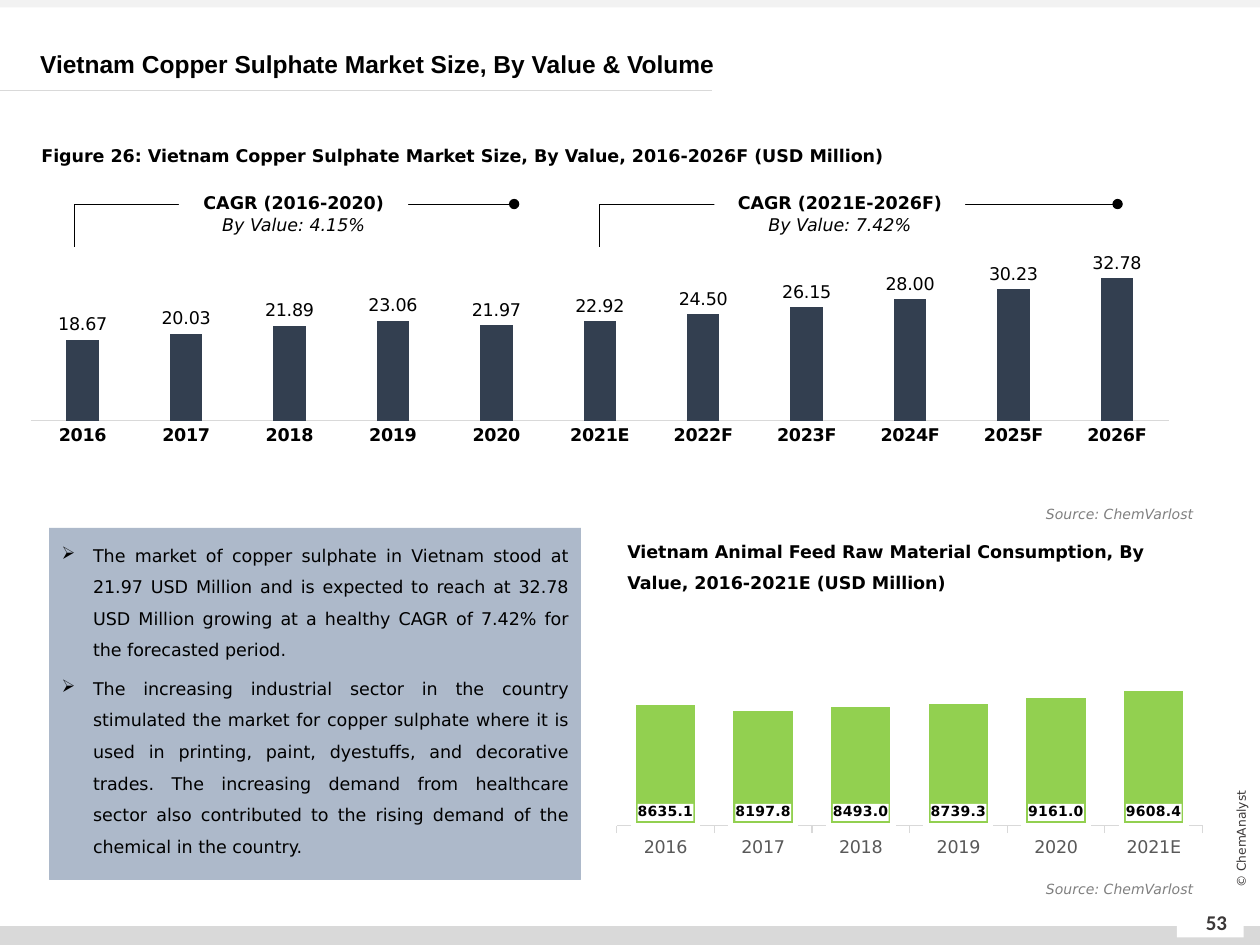
from lxml import etree
from pptx import Presentation
from pptx.chart.data import CategoryChartData
from pptx.dml.color import RGBColor
from pptx.enum.chart import XL_CHART_TYPE as ChartType, XL_LABEL_POSITION as LabelPlace
from pptx.enum.chart import XL_TICK_MARK as Tick
from pptx.enum.shapes import MSO_CONNECTOR as Connector, MSO_SHAPE as Shape
from pptx.enum.text import MSO_ANCHOR as Anchor, PP_ALIGN as Align
from pptx.oxml import parse_xml
from pptx.oxml.ns import nsdecls, qn
from pptx.util import Inches, Pt

# The slide is a grid of 100 columns by 75 rows
COLUMNS, ROWS = 100, 75
WIDTH, HEIGHT = Inches(10), Inches(7.5)
SANS = "DejaVu Sans"
BLACK, WHITE, RULE, STEEL = "000000", "FFFFFF", "D9D9D9", "ADB9CA"


def color(code):
    return RGBColor.from_string(code)


def across(columns):
    return round(WIDTH * columns / COLUMNS)


def down(rows):
    return round(HEIGHT * rows / ROWS)


def place(left, top, width, height):
    return across(left), down(top), across(width), down(height)


def style(font, size, code=BLACK, name=SANS, bold=False, italic=False):
    font.size, font.name, font.bold, font.italic = Pt(size), name, bold, italic
    font.color.rgb = color(code)


def add_span(para, text, size, **look):
    span = para.add_run()
    span.text = text
    style(span.font, size, **look)


def add_text(page, area, text, size, align=Align.LEFT, anchor=Anchor.TOP, spacing=None, **look):
    box = page.shapes.add_textbox(*place(*area))
    box.text_frame.word_wrap = True
    box.text_frame.vertical_anchor = anchor
    para = box.text_frame.paragraphs[0]
    para.alignment, para.line_spacing = align, spacing
    add_span(para, text, size, **look)
    return box


def add_block(shapes, area, fill, line=None):
    block = shapes.add_shape(Shape.RECTANGLE, *place(*area))
    block.shadow.inherit = False
    block.fill.solid()
    block.fill.fore_color.rgb = color(fill)
    if line:
        block.line.color.rgb = color(line)
        block.line.width = Pt(0.5)
    else:
        block.line.fill.background()
    return block


def add_line(shapes, kind, start, end, code):
    line = shapes.add_connector(kind, across(start[0]), down(start[1]), across(end[0]), down(end[1]))
    line.line.color.rgb = color(code)
    line.line.width = Pt(0.5)
    etree.SubElement(line._element.spPr, qn("a:effectLst"))
    return line


def add_growth(page, left, right, label_area, period, rate):
    """Bracket over a span of years, with its growth rate."""
    group = page.shapes.add_group_shape()
    bracket = add_line(group.shapes, Connector.ELBOW, (left, 19.6), (right, 16.2), BLACK)
    properties = bracket._element.spPr
    guides = properties.find(qn("a:prstGeom")).get_or_add_avLst()
    etree.SubElement(guides, qn("a:gd"), name="adj1", fmla="val 0")
    etree.SubElement(properties.find(qn("a:ln")), qn("a:tailEnd"), type="oval")

    label = add_block(group.shapes, label_area, WHITE)
    frame = label.text_frame
    frame.vertical_anchor = Anchor.MIDDLE
    heading, detail = frame.paragraphs[0], frame.add_paragraph()
    heading.alignment = detail.alignment = Align.CENTER
    add_span(heading, period, 10, bold=True)
    add_span(detail, rate, 10, italic=True)


def add_bullets(block, texts):
    frame = block.text_frame
    frame.word_wrap = True
    frame.vertical_anchor = Anchor.TOP
    for index, text in enumerate(texts):
        para = frame.add_paragraph() if index else frame.paragraphs[0]
        properties = para._p.get_or_add_pPr()
        properties.set("marL", str(Inches(0.25)))
        properties.set("indent", str(-Inches(0.25)))
        etree.SubElement(properties, qn("a:buChar"), char="➢")
        para.alignment, para.line_spacing = Align.JUSTIFY, 1.5
        if index:
            para.space_before = Pt(4)
        add_span(para, text, 10)


def add_columns(page, area, years, values, fill, low, high, gap, overlap, plot_area, number, tick):
    data = CategoryChartData(number_format=number)
    data.categories = years
    data.add_series("Series 1", values)
    chart = page.shapes.add_chart(ChartType.COLUMN_CLUSTERED, *place(*area), data).chart
    chart.has_legend = chart.has_title = False
    style(chart.font, 10)

    scale = chart.value_axis
    scale.minimum_scale, scale.maximum_scale = low, high
    scale.has_major_gridlines = scale.visible = False
    axis = chart.category_axis
    axis.major_tick_mark = tick
    axis.format.line.color.rgb = color(RULE)
    axis.format.line.width = Pt(0.75)

    plot = chart.plots[0]
    plot.gap_width, plot.overlap, plot.vary_by_categories = gap, overlap, False
    series = plot.series[0]
    series.invert_if_negative = False
    series.format.fill.solid()
    series.format.fill.fore_color.rgb = color(fill)
    labels = series.data_labels
    labels.show_value = True
    labels.number_format, labels.number_format_is_linked = number, False

    # Fixed inner plot area, as shares of the chart
    frame = chart._chartSpace.chart.plotArea
    for old in frame.findall(qn("c:layout")):
        frame.remove(old)
    shares = "".join(f'<c:{key} val="{share}"/>' for key, share in zip("xywh", plot_area))
    frame.insert(0, parse_xml(
        f'<c:layout {nsdecls("c")}><c:manualLayout><c:layoutTarget val="inner"/>'
        f'<c:xMode val="edge"/><c:yMode val="edge"/>{shares}</c:manualLayout></c:layout>'))
    return axis, series, labels


def add_value_chart(page):
    years = ["2016", "2017", "2018", "2019", "2020", "2021E",
             "2022F", "2023F", "2024F", "2025F", "2026F"]
    values = [18.67, 20.03, 21.89, 23.06, 21.97, 22.92, 24.5, 26.15, 28, 30.23, 32.78]
    axis, _, labels = add_columns(page, (2.4, 18, 90.4, 20.8), years, values, "333F50",
                                  0, 35, 219, -27, (0, 0.16, 1, 0.58), "0.00", Tick.NONE)
    style(axis.tick_labels.font, 10, bold=True)
    style(labels.font, 10)
    labels.position = LabelPlace.OUTSIDE_END


def add_feed_chart(page):
    years = ["2016", "2017", "2018", "2019", "2020", "2021E"]
    values = [8635.1, 8197.8, 8493, 8739.3, 9161, 9608.4]
    axis, series, labels = add_columns(page, (47.2, 48.5, 50, 20.3), years, values, "92D050",
                                       10, 12000, 51, 0, (0.035, 0.17, 0.93, 0.67), "0.0",
                                       Tick.OUTSIDE)
    style(axis.tick_labels.font, 10, code="595959")
    series.format.line.color.rgb = color(WHITE)
    series.format.line.width = Pt(3)
    style(labels.font, 8, bold=True)
    labels.position = LabelPlace.INSIDE_BASE
    # White plates behind the values
    labels._element.find(qn("c:numFmt")).addnext(parse_xml(
        f'<c:spPr {nsdecls("c", "a")}><a:solidFill><a:srgbClr val="{WHITE}"/></a:solidFill></c:spPr>'))


def add_page_frame(page):
    for area, fill in [((0, 73.5, 100, 1.5), RULE), ((0, 0, 100, 0.6), "F2F2F2"),
                       ((93.4, 72.2, 5.3, 2.2), WHITE)]:
        add_block(page.shapes, area, fill)
    add_line(page.shapes, Connector.STRAIGHT, (0, 7.2), (56.5, 7.2), RULE)
    add_text(page, (94.1, 71.2, 4.9, 4), "53", 12, Align.CENTER, Anchor.MIDDLE,
             code="3B3838", name="Calibri", bold=True)
    rights = add_text(page, (92.5, 65.8, 12, 1.6), "© ChemAnalyst", 7, Align.CENTER,
                      Anchor.MIDDLE, code="3B3838")
    rights.rotation = 270


def main():
    deck = Presentation()
    deck.slide_width, deck.slide_height = WIDTH, HEIGHT
    page = deck.slides.add_slide(deck.slide_layouts[6])
    add_page_frame(page)

    # Title and market value
    add_text(page, (2.2, 3.4, 97.6, 3.2), "Vietnam Copper Sulphate Market Size, By Value & Volume",
             14, anchor=Anchor.MIDDLE, spacing=Pt(17), name="Arial", bold=True)
    add_text(page, (2.3, 10.2, 88.2, 3.2),
             "Figure 26: Vietnam Copper Sulphate Market Size, By Value, 2016-2026F (USD Million)",
             10, spacing=1.5, bold=True)
    add_value_chart(page)
    add_growth(page, 47.6, 88.7, (56.7, 14.1, 19.9, 5.7), "CAGR (2021E-2026F)", "By Value: 7.42%")
    add_growth(page, 5.9, 40.8, (14.2, 14.1, 18.2, 5.7), "CAGR (2016-2020)", "By Value: 4.15%")

    # Feed raw materials
    add_text(page, (48.8, 41.6, 47.8, 5.7),
             "Vietnam Animal Feed Raw Material Consumption, By Value, 2016-2021E (USD Million)",
             10, spacing=1.5, bold=True)
    add_feed_chart(page)
    for top in (39.6, 69.4):
        add_text(page, (71.6, top, 24.1, 2.4), "Source: ChemVarlost", 8, Align.RIGHT,
                 code="808080", italic=True)

    # Commentary
    add_bullets(add_block(page.shapes, (3.9, 41.9, 42.2, 27.9), STEEL, STEEL), [
        "The market of copper sulphate in Vietnam stood at 21.97 USD Million and is expected to "
        "reach at 32.78 USD Million growing at a healthy CAGR of 7.42% for the forecasted period.",
        "The increasing industrial sector in the country stimulated the market for copper sulphate "
        "where it is used in printing, paint, dyestuffs, and decorative trades. The increasing "
        "demand from healthcare sector also contributed to the rising demand of the chemical in "
        "the country."])
    deck.save("out.pptx")


if __name__ == "__main__":
    main()
